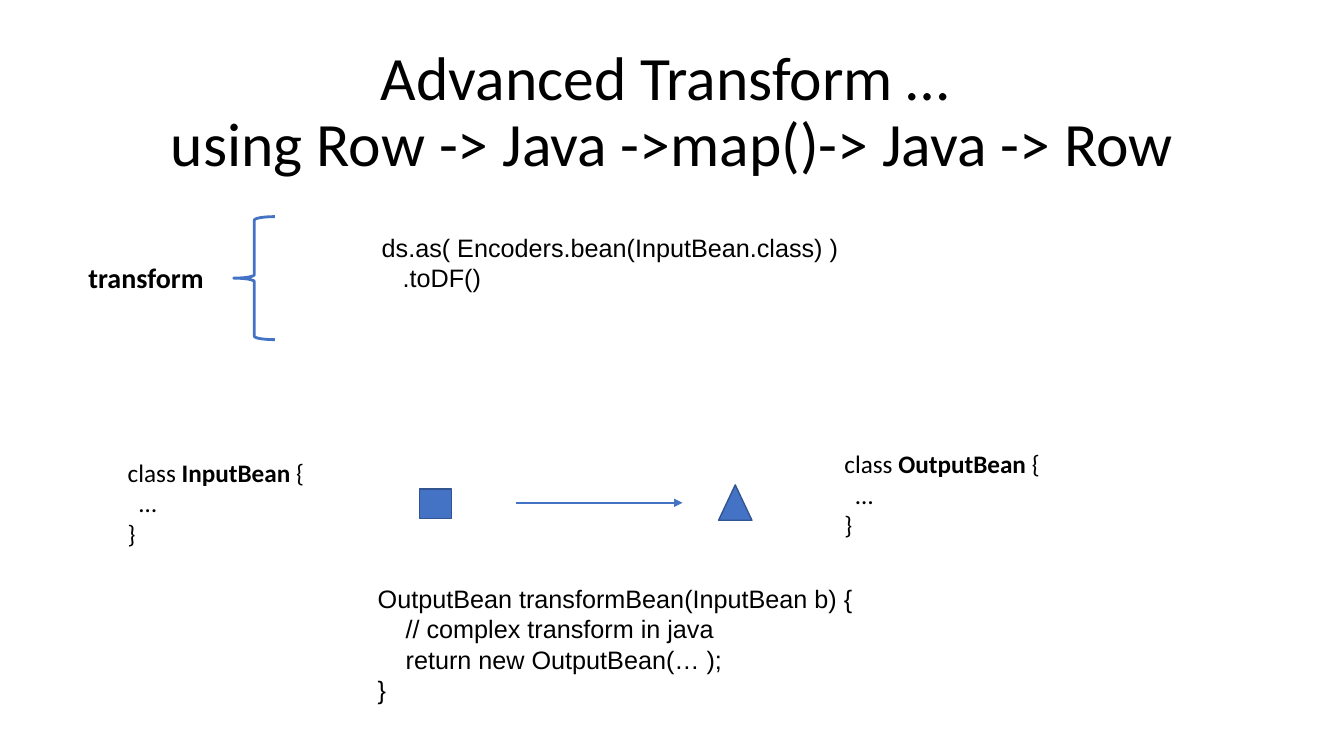
import dataclasses

import pptx
import pptx.dml.color
import pptx.enum.shapes
import pptx.enum.text
import pptx.oxml.ns
import pptx.shapes.autoshape
import pptx.shapes.base
import pptx.shapes.connector
import pptx.slide
import pptx.util
from lxml import etree
from pptx.enum.shapes import MSO_SHAPE
from pptx.enum.text import MSO_ANCHOR, MSO_AUTO_SIZE, PP_ALIGN
from pptx.util import Cm, Pt


@dataclasses.dataclass(frozen=True)
class Theme:
    text: str = "000000"
    accent: str = "4472C4"
    outline: str = "325491"
    heading_font: str = "Calibri"
    code_font: str = "Arial"
    title_size: float = 44
    label_size: float = 20
    code_size: float = 18
    outline_width: float = 1
    arrow_width: float = 1.75
    brace_width: float = 2


THEME = Theme()


@dataclasses.dataclass(frozen=True)
class Box:
    """Position and size in centimetres."""
    left: float
    top: float
    width: float
    height: float

    def lengths(self) -> tuple[Cm, Cm, Cm, Cm]:
        return Cm(self.left), Cm(self.top), Cm(self.width), Cm(self.height)


@dataclasses.dataclass(frozen=True)
class BeanClass:
    name: str
    box: Box


@dataclasses.dataclass(frozen=True)
class BeanSymbol:
    preset: MSO_SHAPE
    box: Box


BEAN_CLASSES = (
    BeanClass("InputBean", Box(2.97, 11.4, 5, 2.57)),
    BeanClass("OutputBean", Box(21.03, 11.18, 5.49, 2.57)),
)
BEAN_SYMBOLS = (
    BeanSymbol(MSO_SHAPE.RECTANGLE, Box(10.57, 12.32, 0.81, 0.74)),
    BeanSymbol(MSO_SHAPE.ISOSCELES_TRIANGLE, Box(18.11, 12.22, 0.84, 0.89)),
)


def rgb(value: str) -> pptx.dml.color.RGBColor:
    return pptx.dml.color.RGBColor.from_string(value)


def add_text(slide: pptx.slide.Slide, box: Box, text: str, *, font: str, size: float,
             bold: bool = False, bold_word: str = "", wrap: bool = False,
             grow: bool = True, align: PP_ALIGN = PP_ALIGN.LEFT,
             anchor: MSO_ANCHOR = MSO_ANCHOR.TOP, line_spacing: float = 1.0) -> None:
    """Write text; a newline starts a paragraph, a vertical tab breaks the line."""
    frame = slide.shapes.add_textbox(*box.lengths()).text_frame
    frame.word_wrap = wrap
    frame.auto_size = MSO_AUTO_SIZE.SHAPE_TO_FIT_TEXT if grow else MSO_AUTO_SIZE.NONE
    frame.vertical_anchor = anchor
    for index, line in enumerate(text.split("\n")):
        paragraph = frame.add_paragraph() if index else frame.paragraphs[0]
        paragraph.alignment = align
        paragraph.line_spacing = line_spacing
        for row, part in enumerate(line.split("\v")):
            if row:
                paragraph.add_line_break()
            pieces = part.partition(bold_word) if bold_word else (part,)
            for piece in filter(None, pieces):
                run = paragraph.add_run()
                run.text = piece
                run.font.name = font
                run.font.size = Pt(size)
                run.font.bold = bold or piece == bold_word
                run.font.color.rgb = rgb(THEME.text)


def set_line(shape: pptx.shapes.autoshape.Shape | pptx.shapes.connector.Connector,
             color: str, width: float) -> None:
    shape.line.color.rgb = rgb(color)
    shape.line.width = Pt(width)


def add_preset(slide: pptx.slide.Slide, preset: MSO_SHAPE, box: Box, *,
               fill: str | None, line: str, width: float) -> None:
    shape = slide.shapes.add_shape(preset, *box.lengths())
    shape.shadow.inherit = False
    if fill:
        shape.fill.solid()
        shape.fill.fore_color.rgb = rgb(fill)
    else:
        shape.fill.background()
    set_line(shape, line, width)


def add_arrow(slide: pptx.slide.Slide, start: float, end: float, height: float) -> None:
    arrow = slide.shapes.add_connector(
        pptx.enum.shapes.MSO_CONNECTOR.STRAIGHT, Cm(start), Cm(height), Cm(end), Cm(height))
    set_line(arrow, THEME.accent, THEME.arrow_width)
    qn = pptx.oxml.ns.qn
    etree.SubElement(arrow.line._get_or_add_ln(), qn("a:tailEnd"), type="triangle")
    etree.SubElement(arrow._element.spPr, qn("a:effectLst"))


def main() -> None:
    deck = pptx.Presentation()
    deck.slide_width, deck.slide_height = Cm(33.87), Cm(19.05)
    slide = deck.slides.add_slide(deck.slide_layouts[6])

    add_text(slide, Box(2.34, 1.02, 29.21, 3.68),
             "Advanced Transform … \vusing Row -> Java ->map()-> Java -> Row",
             font=THEME.heading_font, size=THEME.title_size, wrap=True, grow=False,
             align=PP_ALIGN.CENTER, anchor=MSO_ANCHOR.MIDDLE, line_spacing=0.9)

    add_text(slide, Box(9.37, 5.72, 16.94, 1.8),
             "ds.as( Encoders.bean(InputBean.class) )\n   .toDF()",
             font=THEME.code_font, size=THEME.code_size, wrap=True)
    add_text(slide, Box(1.98, 6.43, 3.43, 1.12), "transform",
             font=THEME.heading_font, size=THEME.label_size, bold=True)
    add_preset(slide, MSO_SHAPE.LEFT_BRACE, Box(5.89, 5.46, 1.04, 3.1),
               fill=None, line=THEME.accent, width=THEME.brace_width)

    add_text(slide, Box(9.27, 14.58, 12.78, 4.11),
             "OutputBean transformBean(InputBean b) {\v    // complex transform in java\n"
             "    return new OutputBean(… );\n}",
             font=THEME.code_font, size=THEME.code_size)

    for symbol in BEAN_SYMBOLS:
        add_preset(slide, symbol.preset, symbol.box, fill=THEME.accent,
                   line=THEME.outline, width=THEME.outline_width)
    add_arrow(slide, start=13, end=17.2, height=12.67)

    for bean in BEAN_CLASSES:
        add_text(slide, bean.box, f"class {bean.name} {{\n  …\n}}",
                 font=THEME.heading_font, size=THEME.code_size, bold_word=bean.name)

    deck.save("out.pptx")


if __name__ == "__main__":
    main()
